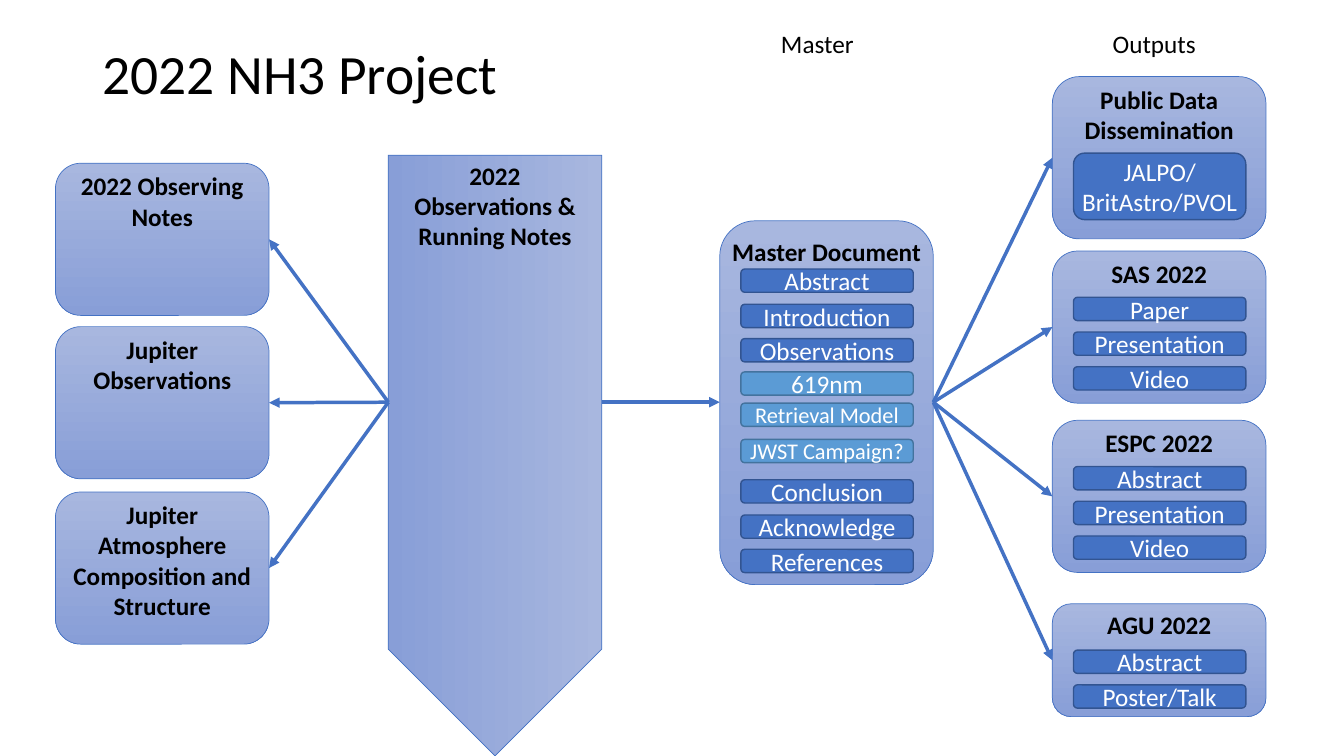
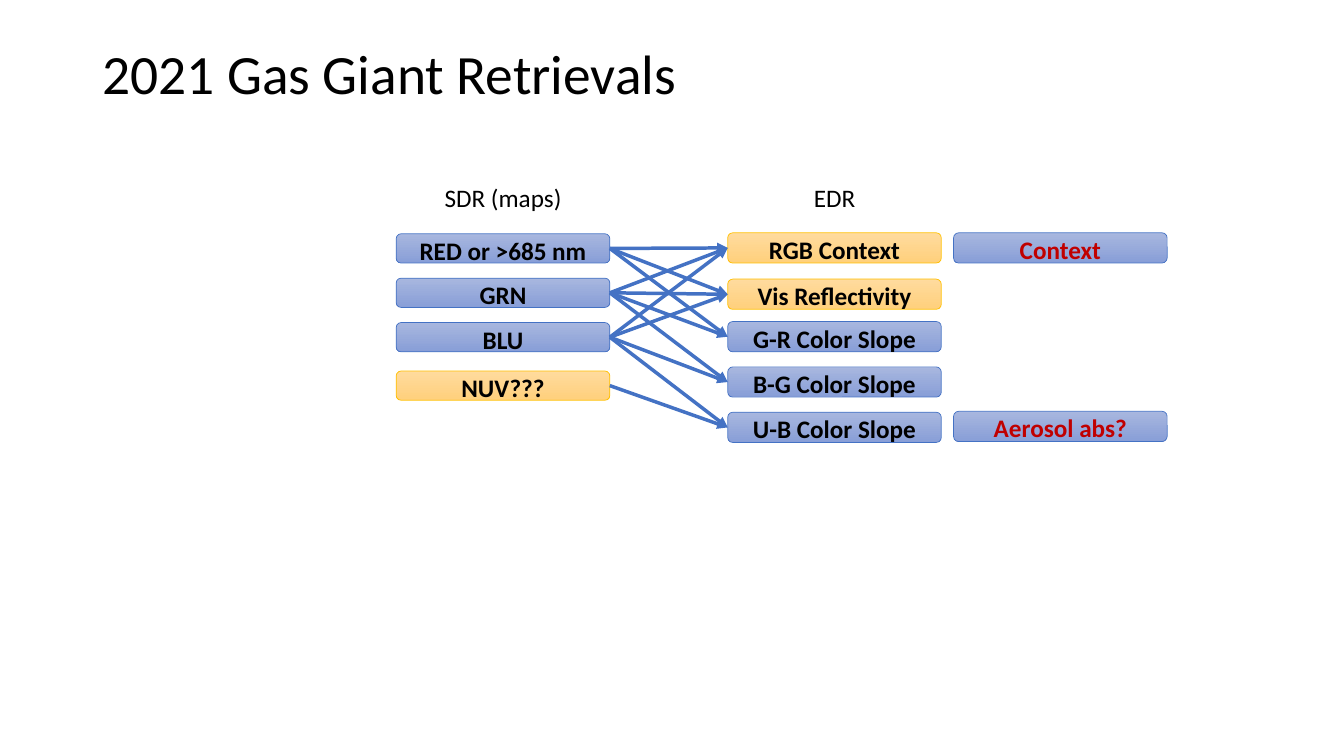
"""Build two project flow slides: the 2022 NH3 project and the 2021 gas giant retrievals."""
from pptx import Presentation
from pptx.dml.color import RGBColor
from pptx.enum.shapes import MSO_CONNECTOR, MSO_SHAPE
from pptx.enum.text import MSO_ANCHOR, PP_ALIGN
from pptx.oxml.ns import qn
from pptx.util import Pt
from lxml.etree import SubElement

COLORS = {
    "black": "000000", "white": "FFFFFF", "red": "C00000",
    "blue": "4472C4", "navy": "325491", "sky": "5B9BD5", "steel": "43739E",
    "gold": "FFC000", "blue top": "A8B7DF", "blue bottom": "889ED7",
    "gold top": "FFDB9E", "gold bottom": "FFD07C",
}
ROUND = MSO_SHAPE.ROUNDED_RECTANGLE
CARD = {"shape": ROUND, "fill": ("blue top", "blue bottom"), "line": "blue", "weight": 0.5,
        "color": "black", "bold": True, "margins": (0, 0, 0, 0)}
CHIP = {"shape": ROUND, "fill": ("blue",), "line": "navy", "weight": 1, "color": "white",
        "margins": (0, 3.6, 0, 3.6), "anchor": MSO_ANCHOR.MIDDLE}
LABEL = {"shape": None, "color": "black", "margins": (7.2, 3.6, 7.2, 3.6)}
STYLES = {
    "title": LABEL | {"size": 39.6, "align": PP_ALIGN.LEFT, "anchor": MSO_ANCHOR.MIDDLE,
                      "spacing": 0.9},
    "label": LABEL | {"align": PP_ALIGN.LEFT},
    "heading": LABEL,
    "card": CARD,
    "master": CARD | {"margins": (0, 3.6, 0, 0)},
    "banner": CARD | {"shape": MSO_SHAPE.PENTAGON, "margins": (7.2, 3.6, 7.2, 3.6)},
    "gold card": CARD | {"fill": ("gold top", "gold bottom"), "line": "gold"},
    "red card": CARD | {"color": "red"},
    "chip": CHIP,
    "sky chip": CHIP | {"fill": ("sky",), "line": "steel"},
    "small sky chip": CHIP | {"fill": ("sky",), "line": "steel", "size": 16},
}
CARD_WIDTH, CHIP_WIDTH, CHIP_HEIGHT, CHIP_INDENT = 152.6, 123.1, 16.6, 15.1


def add_box(page, style_name, text, left, top, width, height):
    style = STYLES[style_name]
    place = [Pt(value) for value in (left, top, width, height)]
    if style["shape"] is None:
        box = page.shapes.add_textbox(*place)
    else:
        box = page.shapes.add_shape(style["shape"], *place)
        box.shadow.inherit = False
        box.line.color.rgb = RGBColor.from_string(COLORS[style["line"]])
        box.line.width = Pt(style["weight"])
        if len(style["fill"]) == 1:
            box.fill.solid()
            box.fill.fore_color.rgb = RGBColor.from_string(COLORS[style["fill"][0]])
        else:
            box.fill.gradient()
            box.fill.gradient_angle = 270
            for stop, name in zip(box.fill.gradient_stops, style["fill"]):
                stop.color.rgb = RGBColor.from_string(COLORS[name])
    frame = box.text_frame
    frame.word_wrap = True
    frame.vertical_anchor = style.get("anchor", MSO_ANCHOR.TOP)
    for side, margin in zip(("left", "top", "right", "bottom"), style["margins"]):
        setattr(frame, f"margin_{side}", Pt(margin))
    para = frame.paragraphs[0]
    para.alignment = style.get("align", PP_ALIGN.CENTER)
    para.line_spacing = style.get("spacing", 1.0)
    span = para.add_run()
    span.text = text
    font = {"name": "Calibri", "size": Pt(style.get("size", 18)), "bold": style.get("bold", False)}
    for key, value in font.items():
        setattr(span.font, key, value)
    span.font.color.rgb = RGBColor.from_string(COLORS[style["color"]])
    return box


def add_arrow(page, *ends):
    arrow = page.shapes.add_connector(MSO_CONNECTOR.STRAIGHT, *[Pt(value) for value in ends])
    arrow.line.color.rgb = RGBColor.from_string(COLORS["blue"])
    arrow.line.width = Pt(2.5)
    properties = arrow._element.spPr
    SubElement(properties.find(qn("a:ln")), qn("a:tailEnd"), type="triangle")
    SubElement(properties, qn("a:effectLst"))


deck = Presentation()
deck.slide_width, deck.slide_height = Pt(960), Pt(540)
pages = []
for title in ("2022 NH3 Project", "2021 Gas Giant Retrievals"):
    page = deck.slides.add_slide(deck.slide_layouts[6])
    add_box(page, "title", title, 66.2, 28.8, 475.2, 51.1)
    pages.append(page)
project, retrievals = pages

NOTES_LEFT, BANNER_LEFT, MASTER_LEFT, OUTPUT_LEFT = 39.6, 277.4, 514.1, 751.7
HUB, CARD_HEIGHT = 287.3, 108.7
add_box(project, "label", "Master", 550.8, 16.6, 79.2, 28.8)
add_box(project, "label", "Outputs", 787.7, 16.6, 79.2, 28.8)

banner = add_box(project, "banner", "2022 Observations & Running Notes", 139, 249.1, 429.1, CARD_WIDTH)
banner.rotation = 90
banner.text_frame._txBody.bodyPr.set("vert", "vert270")

notes = [
    ("2022 Observing Notes", 116.6),
    ("Jupiter Observations", 233.3),
    ("Jupiter Atmosphere Composition and Structure", 351.4),
]
for text, top in notes:
    add_box(project, "card", text, NOTES_LEFT, top, CARD_WIDTH, CARD_HEIGHT)
    add_arrow(project, BANNER_LEFT, HUB, NOTES_LEFT + CARD_WIDTH, top + CARD_HEIGHT / 2)

add_box(project, "master", "Master Document", MASTER_LEFT, 157.7, CARD_WIDTH, 259.9)
add_arrow(project, BANNER_LEFT + CARD_WIDTH, HUB, MASTER_LEFT, HUB)
sections = [
    ("Abstract", 192.2, "chip"),
    ("Introduction", 217.4, "chip"),
    ("Observations", 241.9, "chip"),
    ("619nm", 265.7, "sky chip"),
    ("Retrieval Model", 288, "small sky chip"),
    ("JWST Campaign?", 313.9, "small sky chip"),
    ("Conclusion", 342.7, "chip"),
    ("Acknowledge", 367.9, "chip"),
    ("References", 392.4, "chip"),
]
for text, top, style_name in sections:
    add_box(project, style_name, text, MASTER_LEFT + CHIP_INDENT, top, CHIP_WIDTH, CHIP_HEIGHT)

outputs = [
    ("Public Data Dissemination", 54.7, 115.9, 54.7, 47.5, ["JALPO/BritAstro/PVOL"]),
    ("SAS 2022", 179.3, CARD_HEIGHT, 33.1, CHIP_HEIGHT, ["Paper", "Presentation", "Video"]),
    ("ESPC 2022", 300.2, CARD_HEIGHT, 33.1, CHIP_HEIGHT, ["Abstract", "Presentation", "Video"]),
    ("AGU 2022", 431.3, 80.6, 33.1, CHIP_HEIGHT, ["Abstract", "Poster/Talk"]),
]
for text, top, height, offset, chip_height, products in outputs:
    add_box(project, "card", text, OUTPUT_LEFT, top, CARD_WIDTH, height)
    for row, product in enumerate(products):
        add_box(project, "chip", product, OUTPUT_LEFT + CHIP_INDENT, top + offset + 24.8 * row,
                CHIP_WIDTH, chip_height)
    add_arrow(project, MASTER_LEFT + CARD_WIDTH, HUB, OUTPUT_LEFT, top + height / 2)

MAP_LEFT, EDR_LEFT, USE_LEFT = 283, 519.8, 681.1
MAP_HEIGHT, EDR_HEIGHT = 20.9, 21.6
add_box(retrievals, "heading", "SDR (maps)", 297.4, 126.7, 123.8, 28.8)
add_box(retrievals, "heading", "EDR", 556.6, 126.7, 79.2, 28.8)
records = [
    ("RGB Context", 166.3, "gold card"),
    ("Vis Reflectivity", 199.4, "gold card"),
    ("G-R Color Slope", 229.7, "card"),
    ("B-G Color Slope", 262.1, "card"),
    ("U-B Color Slope", 294.5, "card"),
]
for text, top, style_name in records:
    add_box(retrievals, style_name, text, EDR_LEFT, top, CARD_WIDTH, EDR_HEIGHT)
for text, top in (("Context", 166.3), ("Aerosol abs?", 293.8)):
    add_box(retrievals, "red card", text, USE_LEFT, top, CARD_WIDTH, EDR_HEIGHT)

maps = [
    ("RED or >685 nm", 167, "card", (0, 1, 2)),
    ("GRN", 198.7, "card", (0, 1, 2, 3)),
    ("BLU", 230.4, "card", (0, 1, 3, 4)),
    ("NUV???", 265, "gold card", (4,)),
]
for text, top, style_name, targets in maps:
    add_box(retrievals, style_name, text, MAP_LEFT, top, CARD_WIDTH, MAP_HEIGHT)
    for target in targets:
        add_arrow(retrievals, MAP_LEFT + CARD_WIDTH, top + MAP_HEIGHT / 2,
                  EDR_LEFT, records[target][1] + EDR_HEIGHT / 2)

deck.save("out.pptx")
